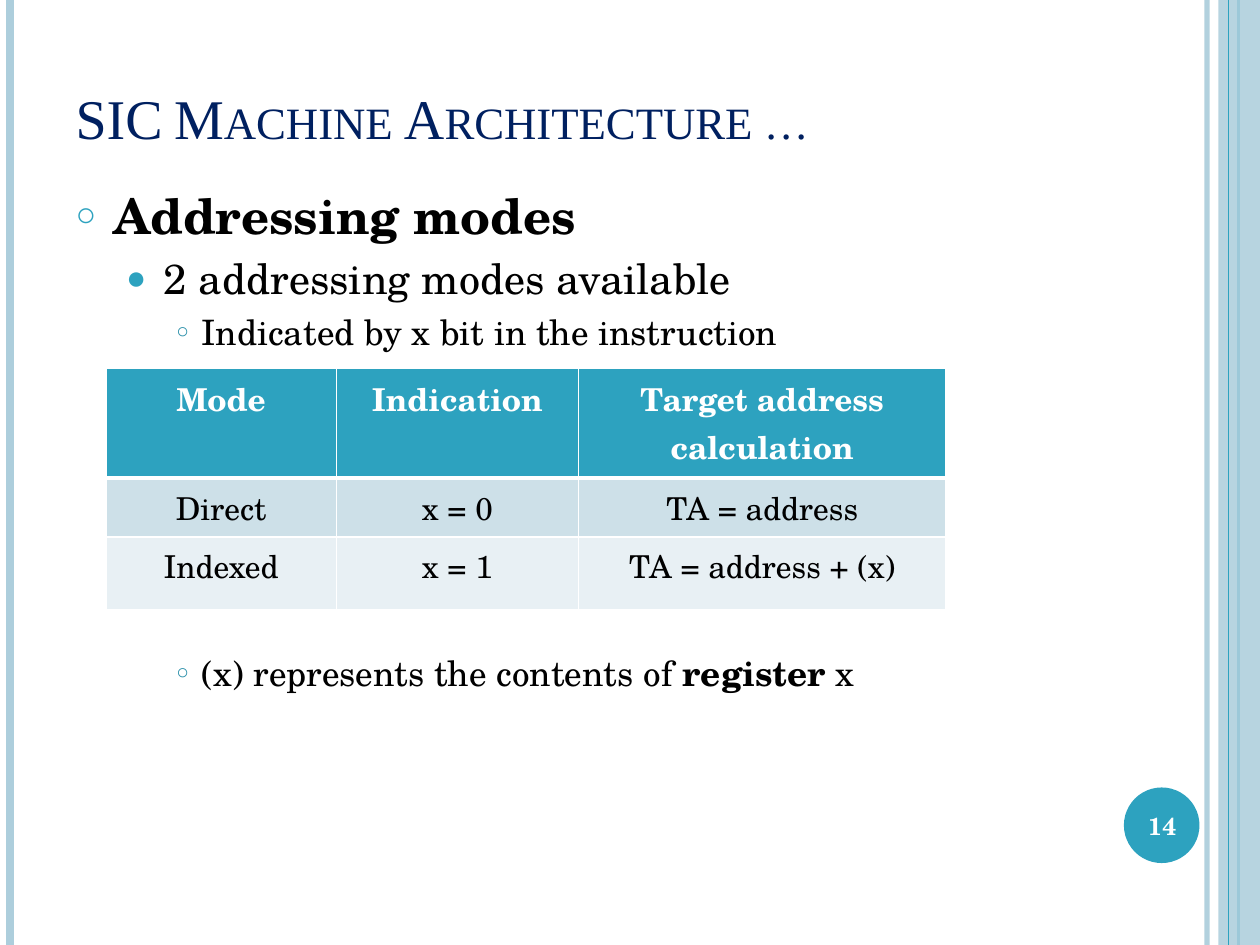
from dataclasses import dataclass

from lxml.etree import SubElement
from pptx import Presentation
from pptx.dml.color import RGBColor
from pptx.enum.shapes import MSO_CONNECTOR, MSO_SHAPE
from pptx.enum.text import MSO_ANCHOR, MSO_AUTO_SIZE, PP_ALIGN
from pptx.oxml.ns import qn
from pptx.util import Inches, Pt


@dataclass(frozen=True)
class Theme:
    font: str = "TeX Gyre Schola"
    head: str = "Times New Roman"
    navy: str = "002060"
    teal: str = "2DA2BF"
    deep: str = "288FA9"
    pale: str = "ADCEDC"
    band: str = "CDE0E8"
    light: str = "E8F0F4"
    white: str = "FFFFFF"
    black: str = "000000"
    title: int = 32
    levels: tuple = (28, 24, 20)
    cell: int = 18
    number: int = 14


THEME = Theme()
# For each level: indent, hanging width, bullet, bullet colour, bullet size in %
LEVELS = (
    (0.3, 0.3, "○", THEME.teal, 70),
    (0.7, 0.3, "●", THEME.teal, 80),
    (1.0, 0.2, "○", THEME.deep, 60),
)
# For each item: level, space before, runs of text and weight
ITEMS = (
    (0, 0, [("Addressing modes", True)]),
    (1, 5, [("2 addressing modes available", False)]),
    (2, 4, [("Indicated by x bit in the instruction", False)]),
    # The wide gap leaves room for the table
    (2, 171, [("(x) represents the contents of ", False),
              ("register", True), (" x", False)]),
)
ROWS = (
    ("Mode", "Indication", "Target address calculation"),
    ("Direct", "x = 0", "TA = address"),
    ("Indexed", "x = 1", "TA = address + (x)"),
)


def color(code):
    return RGBColor.from_string(code)


def style(font, size, code, name=THEME.font, bold=None):
    font.name, font.size, font.bold = name, Pt(size), bold
    font.color.rgb = color(code)


def place(shape, left, top, width, height):
    shape.left, shape.top = Inches(left), Inches(top)
    shape.width, shape.height = Inches(width), Inches(height)


def fade(shape, share):
    """Make the shape's one solid colour show at the given share in %."""
    tone = next(shape._element.iter(qn("a:srgbClr")))
    SubElement(tone, qn("a:alpha"), val=str(share * 1000))


def add_rule(slide, x, code, width):
    """Draw a line down the whole slide."""
    rule = slide.shapes.add_connector(
        MSO_CONNECTOR.STRAIGHT, Inches(x), 0, Inches(x), Inches(7.5))
    rule.line.color.rgb = color(code)
    rule.line.width = Pt(width)
    SubElement(rule._element.spPr, qn("a:effectLst"))
    return rule


def add_solid(slide, kind, box, code):
    shape = slide.shapes.add_shape(kind, *map(Inches, box))
    shape.shadow.inherit = False
    shape.fill.solid()
    shape.fill.fore_color.rgb = color(code)
    shape.line.fill.background()
    return shape


def add_frame(slide):
    """Draw the stripes at both edges and the disc for the number."""
    fade(add_rule(slide, 9.58, THEME.pale, 3), 93)
    add_rule(slide, 0.08, THEME.pale, 4.5)
    add_rule(slide, 9.83, THEME.teal, 1.5)
    fade(add_solid(slide, MSO_SHAPE.RECTANGLE, (9.67, 0, 0.33, 7.5),
                   THEME.pale), 87)
    add_rule(slide, 9.75, THEME.teal, 0.75)
    add_solid(slide, MSO_SHAPE.OVAL, (8.92, 6.25, 0.6, 0.6), THEME.teal)


def fill_title(shape, text):
    place(shape, 0.5, 0.3, 8.17, 0.95)
    frame = shape.text_frame
    frame.text = text
    frame.auto_size = MSO_AUTO_SIZE.NONE
    frame.vertical_anchor = MSO_ANCHOR.BOTTOM
    para = frame.paragraphs[0]
    para.alignment = PP_ALIGN.LEFT
    style(para.font, THEME.title, THEME.navy, THEME.head)
    para.runs[0]._r.get_or_add_rPr().set("cap", "small")


def add_bullet(para, level):
    indent, hang, mark, code, size = LEVELS[level]
    props = para._p.get_or_add_pPr()
    props.set("marL", str(Inches(indent)))
    props.set("indent", str(-Inches(hang)))
    tone = SubElement(props, qn("a:buClr"))
    SubElement(tone, qn("a:srgbClr"), val=code)
    SubElement(props, qn("a:buSzPct"), val=str(size * 1000))
    SubElement(props, qn("a:buChar"), char=mark)


def fill_body(shape):
    place(shape, 0.5, 1.42, 8.17, 5.66)
    frame = shape.text_frame
    frame.auto_size = MSO_AUTO_SIZE.NONE
    for i, (level, gap, runs) in enumerate(ITEMS):
        para = frame.add_paragraph() if i else frame.paragraphs[0]
        para.level = level
        para.space_before = Pt(gap)
        add_bullet(para, level)
        style(para.font, THEME.levels[level], THEME.black)
        for text, bold in runs:
            run = para.add_run()
            run.text = text
            run.font.bold = bold


def add_edges(cell, top, base):
    """Give the cell white borders; top and base are widths in points."""
    props = cell._tc.get_or_add_tcPr()
    for side, width in (("L", 1), ("R", 1), ("T", top), ("B", base)):
        edge = SubElement(props, qn(f"a:ln{side}"), w=str(Pt(width)))
        fill = SubElement(edge, qn("a:solidFill"))
        SubElement(fill, qn("a:srgbClr"), val=THEME.white)


def add_modes(slide):
    """Add the table of addressing modes."""
    box = map(Inches, (0.84, 2.92, 6.67, 1.49))
    table = slide.shapes.add_table(len(ROWS), len(ROWS[0]), *box).table
    for col, width in zip(table.columns, (1.83, 1.92, 2.92)):
        col.width = Inches(width)
    for row, height in zip(table.rows, (0.58, 0.33, 0.58)):
        row.height = Inches(height)
    fills = (THEME.teal, THEME.band, THEME.light)
    for r, texts in enumerate(ROWS):
        for c, text in enumerate(texts):
            cell = table.cell(r, c)
            cell.text = text
            add_edges(cell, 3 if r == 1 else 1, 3 if r == 0 else 1)
            cell.fill.solid()
            cell.fill.fore_color.rgb = color(fills[r])
            para = cell.text_frame.paragraphs[0]
            para.alignment = PP_ALIGN.CENTER
            ink = THEME.black if r else THEME.white
            style(para.font, THEME.cell, ink, bold=r == 0)


def add_number(slide, text):
    box = slide.shapes.add_textbox(*map(Inches, (8.89, 6.27, 0.67, 0.57)))
    frame = box.text_frame
    frame.word_wrap = True
    frame.vertical_anchor = MSO_ANCHOR.MIDDLE
    frame.text = text
    para = frame.paragraphs[0]
    para.alignment = PP_ALIGN.CENTER
    style(para.font, THEME.number, THEME.white, bold=True)


def main():
    deck = Presentation()
    deck.slide_width, deck.slide_height = Inches(10), Inches(7.5)
    slide = deck.slides.add_slide(deck.slide_layouts[1])
    add_frame(slide)
    fill_title(slide.shapes.title, "SIC Machine Architecture …")
    fill_body(slide.placeholders[1])
    add_modes(slide)
    add_number(slide, "14")
    deck.save("out.pptx")


if __name__ == "__main__":
    main()
